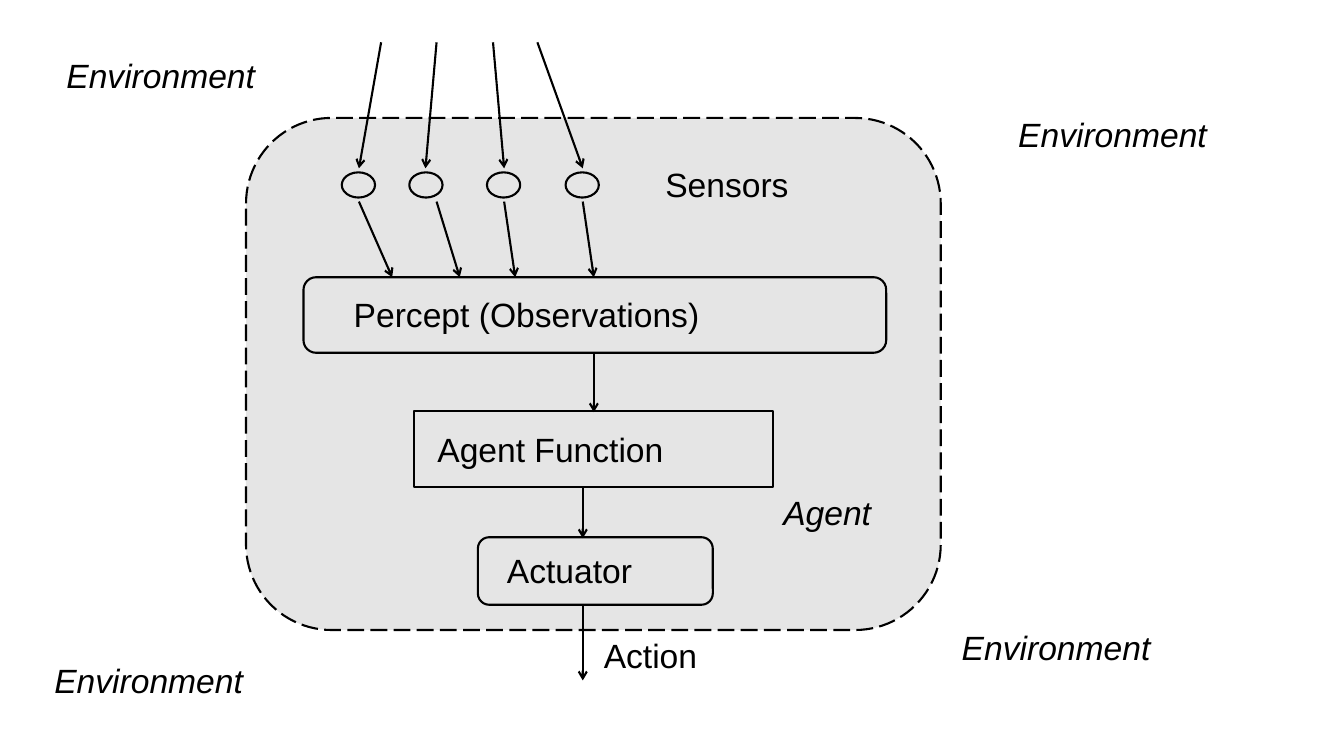
from dataclasses import dataclass

from lxml import etree
from pptx import Presentation
from pptx.dml.color import RGBColor
from pptx.enum.dml import MSO_LINE
from pptx.enum.shapes import MSO_CONNECTOR, MSO_SHAPE
from pptx.enum.text import MSO_AUTO_SIZE
from pptx.oxml.ns import qn
from pptx.util import Emu, Pt

ROUNDED = MSO_SHAPE.ROUNDED_RECTANGLE
RECTANGLE = MSO_SHAPE.RECTANGLE
ELLIPSE = MSO_SHAPE.OVAL
STRAIGHT = MSO_CONNECTOR.STRAIGHT
LONG_DASH = MSO_LINE.LONG_DASH
FIT_SHAPE = MSO_AUTO_SIZE.SHAPE_TO_FIT_TEXT

EMU_PER_PX = 9144
BLANK_LAYOUT = 6


def px(*lengths):
    return [Emu(length * EMU_PER_PX) for length in lengths]


@dataclass(frozen=True)
class Theme:
    ink: RGBColor = RGBColor(0, 0, 0)
    agent_opacity: int = 10
    font: str = "Arial"
    text_size: int = 24
    line_width: float = 1.5
    corner: float = 0.167


class Diagram:
    def __init__(self, slide, theme):
        self.slide = slide
        self.theme = theme

    def style_line(self, line):
        line.color.rgb = self.theme.ink
        line.width = Pt(self.theme.line_width)

    def outline(self, kind, left, top, width, height):
        shape = self.slide.shapes.add_shape(kind, *px(left, top, width, height))
        shape.shadow.inherit = False
        shape.fill.background()
        self.style_line(shape.line)
        if kind == ROUNDED:
            shape.adjustments[0] = self.theme.corner
        return shape

    def agent_area(self, left, top, width, height):
        shape = self.outline(ROUNDED, left, top, width, height)
        shape.line.dash_style = LONG_DASH
        shape.fill.solid()
        shape.fill.fore_color.rgb = self.theme.ink
        color = shape.element.spPr.find(qn("a:solidFill"))[0]
        alpha = etree.SubElement(color, qn("a:alpha"))
        alpha.set("val", str(self.theme.agent_opacity * 1000))

    def label(self, text, left, top, width, italic=False):
        shape = self.slide.shapes.add_textbox(*px(left, top, width, 50))
        text_frame = shape.text_frame
        text_frame.word_wrap = False
        text_frame.auto_size = FIT_SHAPE
        text_frame.text = text
        font = text_frame.paragraphs[0].runs[0].font
        font.name = self.theme.font
        font.size = Pt(self.theme.text_size)
        font.color.rgb = self.theme.ink
        font.italic = italic

    def arrow(self, start_x, start_y, end_x, end_y):
        connector = self.slide.shapes.add_connector(
            STRAIGHT, *px(start_x, start_y, end_x, end_y))
        self.style_line(connector.line)
        properties = connector.element.spPr
        tail = etree.SubElement(properties.find(qn("a:ln")), qn("a:tailEnd"))
        tail.set("type", "arrow")
        etree.SubElement(properties, qn("a:effectLst"))


def main():
    presentation = Presentation()
    presentation.slide_width, presentation.slide_height = px(1333, 750)
    slide = presentation.slides.add_slide(presentation.slide_layouts[BLANK_LAYOUT])
    diagram = Diagram(slide, Theme())

    diagram.agent_area(244, 117, 689, 508)

    for sensor_left in (339, 406, 483, 561):
        diagram.outline(ELLIPSE, sensor_left, 171, 33, 25)
    diagram.label("Sensors", 650, 158, 144)

    diagram.outline(ROUNDED, 301, 275, 578, 75)
    diagram.label("Percept (Observations)", 341, 287, 366)
    diagram.outline(RECTANGLE, 411, 408, 356, 75)
    diagram.label("Agent Function", 424, 421, 247)
    diagram.outline(ROUNDED, 474, 533, 233, 67)
    diagram.label("Actuator", 493, 541, 146)
    diagram.label("Action", 589, 625, 114)

    for left, top in ((1000, 108), (56, 50), (944, 617), (44, 650)):
        diagram.label("Environment", left, top, 209, italic=True)
    diagram.label("Agent", 767, 483, 108, italic=True)

    for start_x, end_x in ((378, 356), (433, 422), (489, 500), (533, 578)):
        diagram.arrow(start_x, 42, end_x, 167)
    for start_x, end_x in ((356, 389), (433, 456), (500, 511), (578, 589)):
        diagram.arrow(start_x, 200, end_x, 275)
    for x, start_y, end_y in ((589, 350, 409), (578, 484, 534), (578, 600, 675)):
        diagram.arrow(x, start_y, x, end_y)

    presentation.save("out.pptx")


if __name__ == "__main__":
    main()
